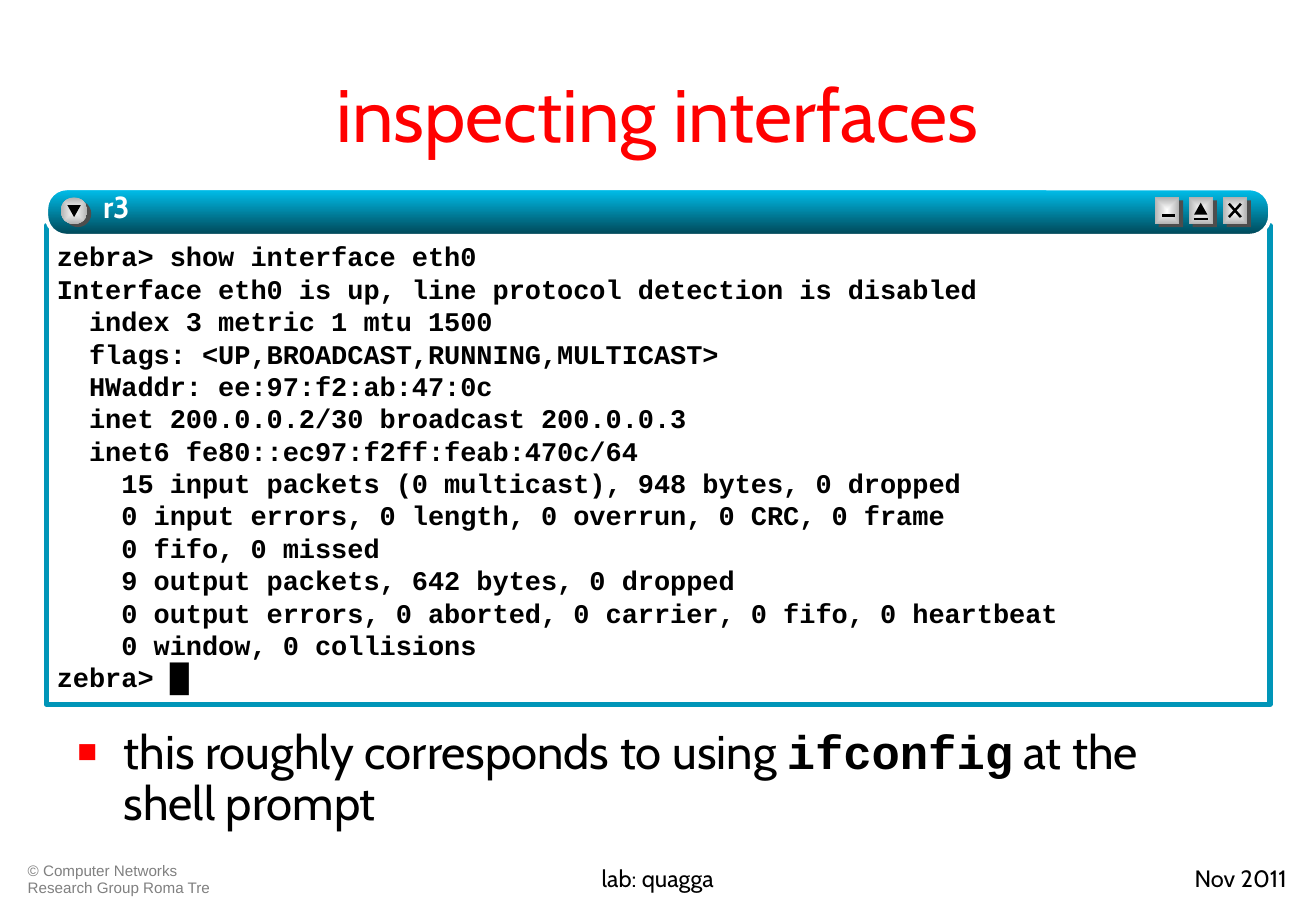
"""Builds the slide about inspecting interfaces with a terminal window."""
from dataclasses import dataclass

from lxml import etree
from pptx import Presentation
from pptx import util as u
from pptx.dml.color import RGBColor
from pptx.enum import shapes, text
from pptx.oxml import parse_xml
from pptx.oxml.ns import nsdecls, qn


@dataclass(frozen=True)
class Theme:
    """Colours, fonts and type sizes of the slide."""
    red: str = "FF0000"
    black: str = "000000"
    white: str = "FFFFFF"
    footer_grey: str = "808080"
    frame: str = "0095B8"
    bar: tuple = ("00C1EE", "004555")
    button: tuple = ("FEFEFE", "B2B2B2")
    button_shade: str = "4D4D4D"
    sans: str = "Cabin"
    mono: str = "Courier New"
    plain: str = "Arial"
    title_size: int = 44
    body_size: int = 28
    window_size: int = 18
    code_size: int = 16
    footer_size: int = 14
    credit_size: int = 9


THEME = Theme()
SHAPE = shapes.MSO_SHAPE
ALIGN = text.PP_ALIGN
BUTTON_TOP = 4.13
BUTTON_LEFT = 24.16
BUTTON_PITCH = 0.71
CONSOLE = """zebra> show interface eth0
Interface eth0 is up, line protocol detection is disabled
  index 3 metric 1 mtu 1500
  flags: <UP,BROADCAST,RUNNING,MULTICAST>
  HWaddr: ee:97:f2:ab:47:0c
  inet 200.0.0.2/30 broadcast 200.0.0.3
  inet6 fe80::ec97:f2ff:feab:470c/64
    15 input packets (0 multicast), 948 bytes, 0 dropped
    0 input errors, 0 length, 0 overrun, 0 CRC, 0 frame
    0 fifo, 0 missed
    9 output packets, 642 bytes, 0 dropped
    0 output errors, 0 aborted, 0 carrier, 0 fifo, 0 heartbeat
    0 window, 0 collisions
zebra> """


def style_span(span, size, font, color, bold=False):
    """Set the type of one run."""
    span.font.size = u.Pt(size)
    span.font.name = font
    span.font.bold = bold
    span.font.color.rgb = RGBColor.from_string(color)


def add_span(para, words, size, font, color, bold=False):
    """Append a styled run to a paragraph."""
    span = para.add_run()
    span.text = words
    style_span(span, size, font, color, bold)


def add_text(page, area, words, size, font, color, bold=False, align=ALIGN.LEFT,
             insets=(0.25, 0.13, 0.25, 0.13), spacing=None):
    """Add a wrapping text box and return it."""
    box = page.shapes.add_textbox(*map(u.Cm, area))
    frame = box.text_frame
    frame.word_wrap = True
    (frame.margin_left, frame.margin_top,
     frame.margin_right, frame.margin_bottom) = map(u.Cm, insets)
    frame.text = words
    for para in frame.paragraphs:
        para.alignment = align
        para.line_spacing = spacing
        for span in para.runs:
            style_span(span, size, font, color, bold)
    return box


def add_bullet(para):
    """Give a paragraph a red square bullet with a hanging indent."""
    props = para._p.get_or_add_pPr()
    indent = u.Cm(0.97)
    props.set("marL", str(indent))
    props.set("indent", str(-indent))
    for item in (f'<a:buClr {nsdecls("a")}><a:srgbClr val="{THEME.red}"/></a:buClr>',
                 f'<a:buSzPct {nsdecls("a")} val="70000"/>',
                 f'<a:buFont {nsdecls("a")} typeface="{THEME.plain}"/>',
                 f'<a:buChar {nsdecls("a")} char="■"/>'):
        props.append(parse_xml(item))


def add_text_shadow(span):
    """Put a small dark shadow behind the letters of a run."""
    effect = parse_xml(
        f'<a:effectLst {nsdecls("a")}><a:outerShdw dist="17961" dir="2700000">'
        f'<a:srgbClr val="{THEME.black}"/></a:outerShdw></a:effectLst>')
    span._r.rPr.find(qn("a:solidFill")).addnext(effect)


def add_box(parent, kind, area, fill=None, line=None, width=0):
    """Add a preset shape with a plain fill or none, and an optional line."""
    box = parent.shapes.add_shape(kind, *map(u.Cm, area))
    box.shadow.inherit = False
    if fill:
        box.fill.solid()
        box.fill.fore_color.rgb = RGBColor.from_string(fill)
    else:
        box.fill.background()
    if line:
        box.line.color.rgb = RGBColor.from_string(line)
        box.line.width = u.Pt(width)
    else:
        box.line.fill.background()
    return box


def shade(box, colors, centred=False):
    """Fill a shape with a gradient, downwards or from its centre."""
    box.fill.gradient()
    box.fill.gradient_angle = 270
    for stop, color in zip(box.fill.gradient_stops, colors):
        stop.color.rgb = RGBColor.from_string(color)
    if centred:
        linear = box._element.spPr.find(".//" + qn("a:lin"))
        linear.getparent().replace(linear, parse_xml(
            f'<a:path {nsdecls("a")} path="rect">'
            '<a:fillToRect l="50000" t="50000" r="50000" b="50000"/></a:path>'))


def add_stroke(parent, left, top, ends):
    """Draw one black line, its ends measured from a button's corner."""
    x1, y1, x2, y2 = ends
    stroke = parent.shapes.add_connector(
        shapes.MSO_CONNECTOR.STRAIGHT, u.Cm(left + x1), u.Cm(top + y1),
        u.Cm(left + x2), u.Cm(top + y2))
    stroke.line.color.rgb = RGBColor.from_string(THEME.black)
    stroke.line.width = u.Pt(1.5)
    etree.SubElement(stroke._element.spPr, qn("a:effectLst"))


def add_button(page, kind, left, width, strokes=(), arrow=None, turn=0):
    """Add a raised window button with its sign."""
    group = page.shapes.add_group_shape()
    add_box(group, kind, (left + 0.08, BUTTON_TOP + 0.06, width, 0.56), THEME.button_shade)
    face = add_box(group, kind, (left, BUTTON_TOP, width, 0.56))
    shade(face, THEME.button, centred=True)
    for ends in strokes:
        add_stroke(group, left, BUTTON_TOP, ends)
    if arrow:
        x, y = arrow
        sign = add_box(group, SHAPE.ISOSCELES_TRIANGLE,
                       (left + x, BUTTON_TOP + y, 0.28, 0.25), THEME.black)
        sign.rotation = turn


def add_window(page):
    """Add the terminal window with its frame, output, bar and buttons."""
    add_box(page, SHAPE.RECTANGLE, (0.97, 4.72, 25.6, 10.01), line=THEME.frame, width=3)
    output = add_text(page, (0.99, 4.72, 25.55, 10.01), CONSOLE, THEME.code_size,
                      THEME.mono, THEME.black, bold=True, insets=(0.2, 0.3, 0.2, 0.1))
    add_span(output.text_frame.paragraphs[-1], "█", THEME.code_size,
             THEME.plain, THEME.black, bold=True)
    bar = add_box(page, SHAPE.ROUNDED_RECTANGLE, (0.97, 3.94, 25.6, 0.99),
                  line=THEME.white, width=2.25)
    bar.adjustments[0] = 0.43
    shade(bar, THEME.bar)
    add_button(page, SHAPE.OVAL, 1.27, 0.56, arrow=(0.14, 0.16), turn=180)
    signs = (
        ([(0.15, 0.38, 0.41, 0.38)], None),
        ([(0.1, 0.45, 0.41, 0.45)], (0.11, 0.11)),
        ([(0.13, 0.41, 0.38, 0.13), (0.13, 0.13, 0.38, 0.41)], None),
    )
    for index, (strokes, arrow) in enumerate(signs):
        add_button(page, SHAPE.RECTANGLE, BUTTON_LEFT + index * BUTTON_PITCH, 0.51,
                   strokes, arrow)
    name = add_text(page, (2.16, 3.94, 18.39, 0.99), "r3", THEME.window_size, THEME.sans,
                    THEME.white, bold=True, insets=(0, 0, 0, 0))
    add_text_shadow(name.text_frame.paragraphs[0].runs[0])


def add_remark(page):
    """Add the bulleted remark below the window."""
    box = add_text(page, (1.37, 15.11, 24.77, 2.59), "this roughly corresponds to using ",
                   THEME.body_size, THEME.sans, THEME.black, spacing=0.9)
    para = box.text_frame.paragraphs[0]
    add_bullet(para)
    add_span(para, "ifconfig", THEME.body_size, THEME.mono, THEME.black, bold=True)
    add_span(para, " at the shell prompt", THEME.body_size, THEME.sans, THEME.black)


def main():
    """Build and save the deck."""
    deck = Presentation()
    deck.slide_width, deck.slide_height = u.Cm(27.53), u.Cm(19.05)
    page = deck.slides.add_slide(deck.slide_layouts[6])
    add_text(page, (0.33, 17.93, 4.78, 0.91), "© Computer Networks Research Group Roma Tre",
             THEME.credit_size, THEME.plain, THEME.footer_grey, spacing=0.9)
    title = add_text(page, (1.37, 0.76, 24.77, 3.18), "inspecting interfaces",
                     THEME.title_size, THEME.sans, THEME.red, align=ALIGN.CENTER)
    title.text_frame.vertical_anchor = text.MSO_ANCHOR.MIDDLE
    add_window(page)
    add_remark(page)
    for left, width, words, align in ((7.04, 13.44, "lab: quagga", ALIGN.CENTER),
                                      (20.9, 6.27, "Nov 2011", ALIGN.RIGHT)):
        add_text(page, (left, 17.93, width, 0.91), words, THEME.footer_size,
                 THEME.sans, THEME.black, align=align)
    deck.save("out.pptx")


if __name__ == "__main__":
    main()
